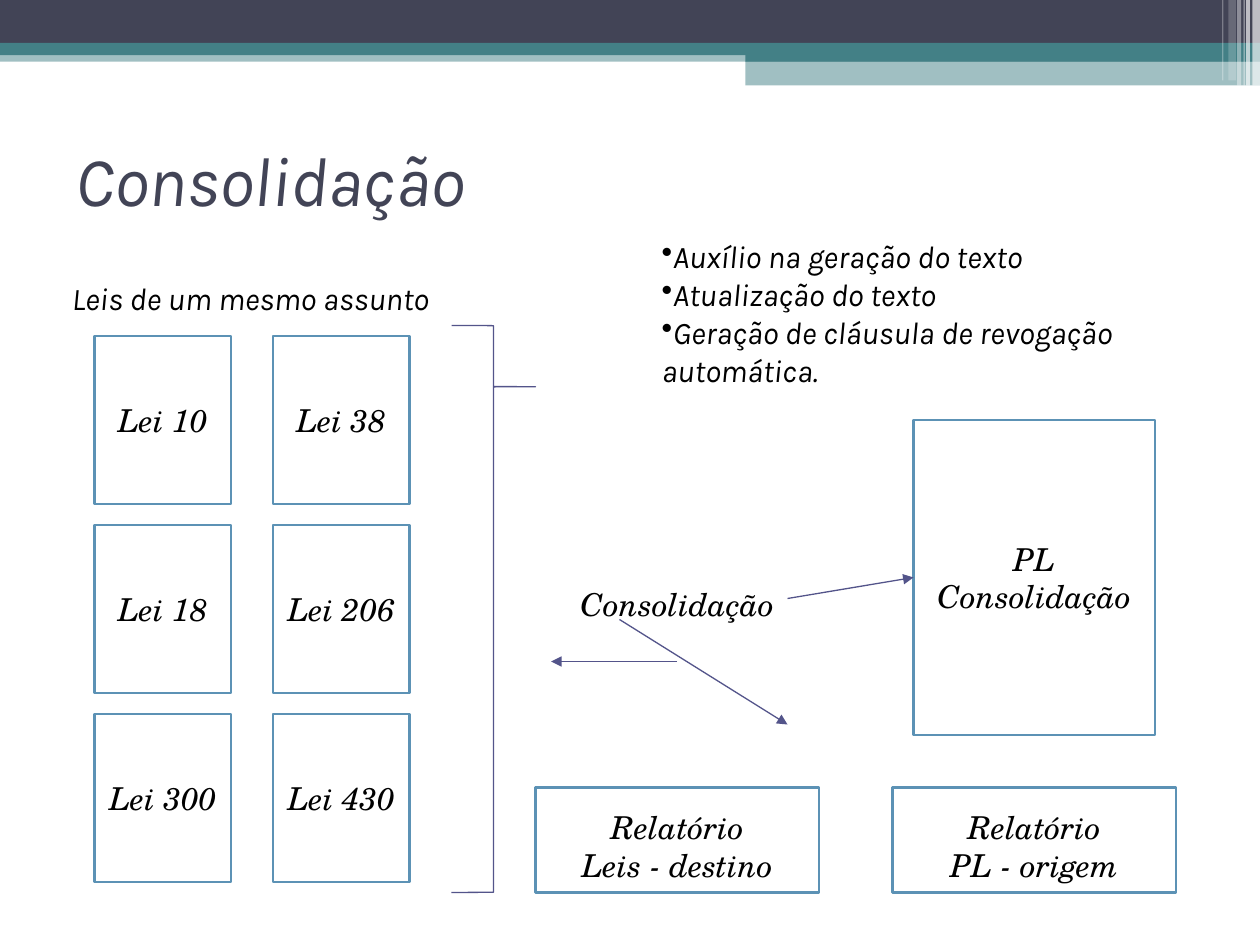
from pptx import Presentation
from pptx.dml.color import RGBColor
from pptx.enum import shapes, text
from pptx.oxml import ns, xmlchemy
from pptx.util import Pt

NAVY = RGBColor(0x42, 0x44, 0x56)
TEAL = RGBColor(0x43, 0x80, 0x86)
BLUE = RGBColor(0x5C, 0x92, 0xB5)
VIOLET = RGBColor(0x53, 0x54, 0x8A)
WHITE = RGBColor(0xFF, 0xFF, 0xFF)
BLACK = RGBColor(0, 0, 0)

SANS = {"name": "Karla", "size": Pt(18), "italic": True}
SERIF = {**SANS, "name": "TeX Gyre Schola"}
TITLE = {**SANS, "size": Pt(40)}

LAWS = [["Lei 10", "Lei 38"], ["Lei 18", "Lei 206"], ["Lei 300", "Lei 430"]]
TASKS = ["Auxílio na geração do texto", "Atualização do texto",
         "Geração de cláusula de revogação", "automática."]


def pts(*values):
    return [Pt(v) for v in values]


def sub(parent, tag, **attrs):
    """Append a child element with the given attributes."""
    el = xmlchemy.OxmlElement(tag)
    for key, value in attrs.items():
        el.set(key, value)
    parent.append(el)
    return el


def write(tf, lines, font, align=text.PP_ALIGN.LEFT, anchor=text.MSO_ANCHOR.TOP,
          color=BLACK, bullets=0):
    """Fill a text frame; the first `bullets` lines get a bullet."""
    tf.word_wrap = True
    tf.vertical_anchor = anchor
    for i, line in enumerate(lines):
        p = tf.paragraphs[0] if i == 0 else tf.add_paragraph()
        p.text = line
        p.alignment = align
        if i < bullets:
            pPr = p._p.get_or_add_pPr()
            sub(sub(pPr, "a:buClr"), "a:srgbClr", val=str(color))
            sub(pPr, "a:buChar", char="•")
        for r in p.runs:
            for key, value in font.items():
                setattr(r.font, key, value)
            r.font.color.rgb = color


def centred(tf, lines):
    write(tf, lines, SERIF, text.PP_ALIGN.CENTER, text.MSO_ANCHOR.MIDDLE)


def textbox(s, box):
    return s.shapes.add_textbox(*pts(*box))


def band(s, box, color, alpha=100):
    sp = s.shapes.add_shape(shapes.MSO_SHAPE.RECTANGLE, *pts(*box))
    sp.shadow.inherit = False
    sp.fill.solid()
    sp.fill.fore_color.rgb = color
    sp.line.fill.background()
    if alpha < 100:
        clr = sp._element.spPr.find(".//" + ns.qn("a:srgbClr"))
        sub(clr, "a:alpha", val=str(alpha * 1000))


def card(s, box, lines):
    sp = s.shapes.add_shape(shapes.MSO_SHAPE.RECTANGLE, *pts(*box))
    sp.shadow.inherit = False
    sp.fill.solid()
    sp.fill.fore_color.rgb = WHITE
    sp.line.color.rgb = BLUE
    sp.line.width = Pt(1.5)
    centred(sp.text_frame, lines)
    return sp


def arrow(s, start, end):
    c = s.shapes.add_connector(shapes.MSO_CONNECTOR.STRAIGHT, *pts(*start, *end))
    c.line.color.rgb = VIOLET
    c.line.width = Pt(0.75)
    sub(c.line._get_or_add_ln(), "a:tailEnd", type="triangle")
    sub(c._element.spPr, "a:effectLst")
    return c


def header(s, x, y, w):
    band(s, (x, y + 28.8, w, 6.5), TEAL, 50)
    band(s, (x, y, w, 24.5), NAVY)
    band(s, (x, y + 24.5, w, 7), TEAL)
    step = 426
    band(s, (x + step, y + 28, w - step, 7.2), TEAL)
    band(s, (x + step, y + 34.8, w - step, 14), TEAL, 50)
    # distance from the right edge, width, height, opacity
    stripes = [(4.3, 4.3, 49, 65), (7.9, 2.2, 49, 65), (9.4, 0.7, 49, 60),
               (13, 2.2, 49, 40), (18, 4.3, 46, 20), (21.6, 0.7, 46, 30)]
    for right, width, height, alpha in stripes:
        band(s, (x + w - right, y, width, height), WHITE, alpha)


def title(s, box):
    sp = s.shapes.title
    sp.left, sp.top, sp.width, sp.height = pts(*box)
    write(sp.text_frame, ["Consolidação"], TITLE,
          anchor=text.MSO_ANCHOR.MIDDLE, color=NAVY)


def law_grid(s, x, y):
    write(textbox(s, (x - 20, y - 36, 261, 29)).text_frame,
          ["Leis de um mesmo assunto"], SANS)
    for row, names in enumerate(LAWS):
        for col, name in enumerate(names):
            card(s, (x + 102 * col, y + 108 * row, 78, 96), [name])
    brace = s.shapes.add_shape(shapes.MSO_SHAPE.RIGHT_BRACE,
                               *pts(x + 204, y - 6, 48, 324))
    brace.shadow.inherit = False
    brace.adjustments[0], brace.adjustments[1] = 0.003, 0.108
    brace.fill.background()
    brace.line.color.rgb = VIOLET
    brace.line.width = Pt(0.75)


def task_list(s, box):
    write(textbox(s, box).text_frame, TASKS, SANS, bullets=3)


def consolidation_flow(s, x, y):
    """Central label, bill card, two reports and the arrows between them."""
    label = textbox(s, (x + 18, y + 72, 126, 66))
    centred(label.text_frame, ["Consolidação"])
    bill = card(s, (x + 216, y, 138, 180), ["PL\vConsolidação"])
    for dx, name in ((0, "Leis - destino"), (204, "PL - origem")):
        report = card(s, (x + dx, y + 210, 162, 60), ["Relatório", name])
        report.text_frame.margin_top = Pt(10.5)
    arrow(s, (x + 144, y + 102), (x + 216, y + 90)).end_connect(bill, 1)
    arrow(s, (x + 81, y + 138), (x + 9, y + 138)).begin_connect(label, 2)
    arrow(s, (x + 48, y + 114), (x + 144, y + 174))


def main():
    prs = Presentation()
    prs.slide_width, prs.slide_height = pts(720, 540)
    s = prs.slides.add_slide(prs.slide_layouts[5])
    header(s, 0, 0, 720)
    title(s, (36, 60, 648, 84))
    law_grid(s, 54, 192)
    consolidation_flow(s, 306, 240)
    task_list(s, (371, 132, 333, 94))
    prs.save("out.pptx")


if __name__ == "__main__":
    main()
